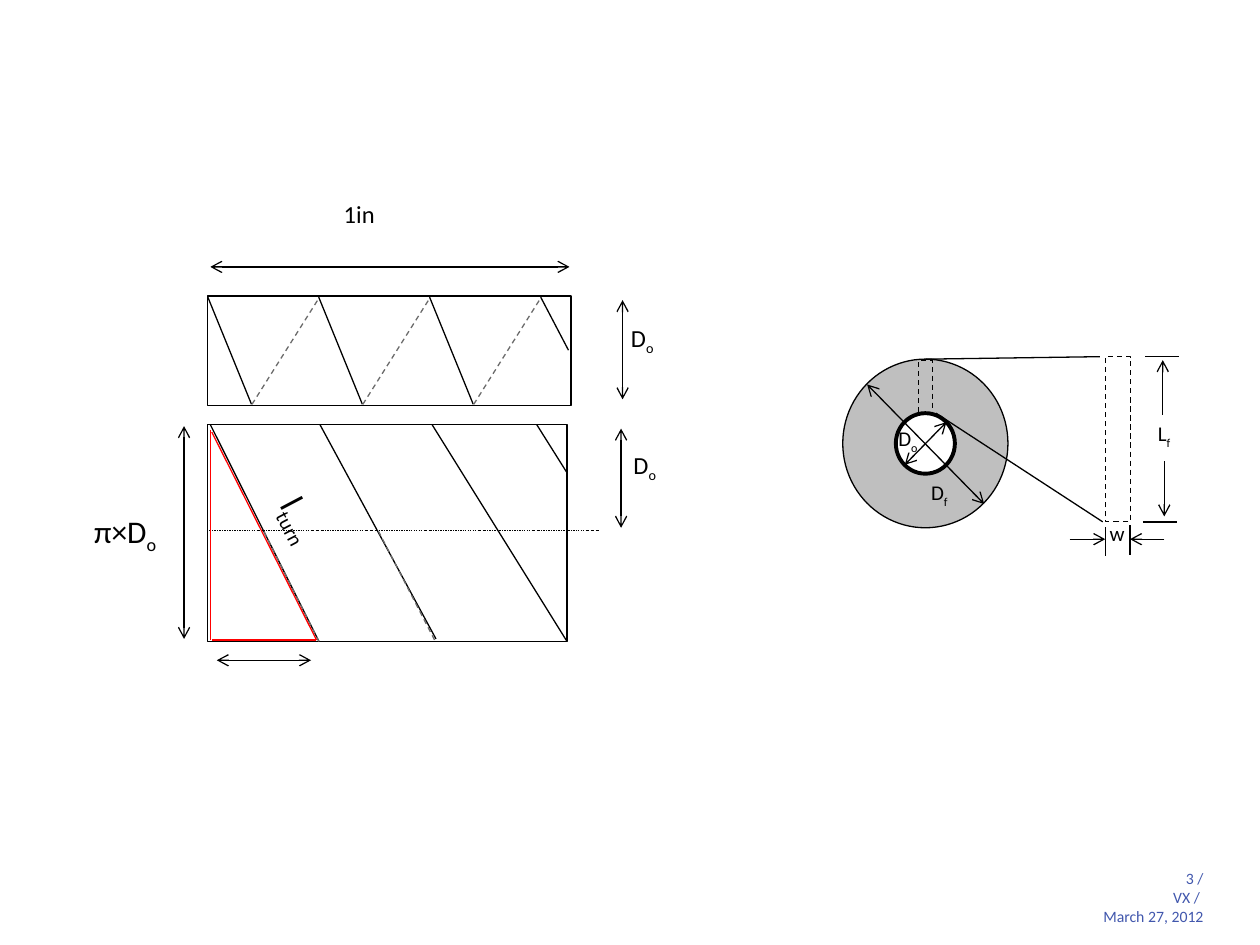
"""Build a slide of tube winding geometry beside a film roll."""
from lxml.etree import SubElement
from pptx import Presentation
from pptx.dml.color import RGBColor
from pptx.enum.dml import MSO_LINE
from pptx.enum.shapes import MSO_CONNECTOR, MSO_SHAPE
from pptx.enum.text import PP_ALIGN
from pptx.oxml.ns import qn
from pptx.util import Cm, Pt

BLACK = RGBColor(0, 0, 0)
WHITE = RGBColor(255, 255, 255)
RED = RGBColor(255, 0, 0)
GREY = RGBColor(0x6B, 0x6B, 0x6B)
SILVER = RGBColor(0xBF, 0xBF, 0xBF)
BLUE = RGBColor(0x41, 0x57, 0xAD)
RECT, OVAL = MSO_SHAPE.RECTANGLE, MSO_SHAPE.OVAL
DASH, DOT = MSO_LINE.DASH, MSO_LINE.DASH_DOT
FONT = "Calibri"

SHAPES = [
    (RECT, (4.19, 5.97, 7.32, 2.21), WHITE, 0.75, None),
    (RECT, (4.19, 8.56, 7.24, 4.37), WHITE, 0.75, None),
    (OVAL, (16.99, 7.24, 3.33, 3.4), SILVER, 0.75, None),
    (OVAL, (18.06, 8.33, 1.19, 1.22), WHITE, 2.25, None),
    (RECT, (18.52, 7.26, 0.28, 1.09), None, 0.75, DASH),
    (RECT, (22.28, 7.19, 0.51, 3.33), WHITE, 0.75, DASH),
]

TURNS, LEFT, PITCH = 3, 4.19, 2.235
FRONT = (0, 5.99, 0.88, 8.15)
BACK = (0.89, 8.15, 2.22, 6.04)

CUTS = [
    (10.9, 5.99, 11.46, 7.06),
    (4.24, 8.56, 6.43, 12.93),
    (6.45, 8.56, 8.79, 12.88),
    (8.71, 8.56, 11.43, 12.93),
    (10.82, 8.56, 11.43, 9.53),
]
HIDDEN = [(6.43, 12.93, 5.31, 10.69), (8.76, 12.9, 7.62, 10.69)]
AXIS = (4.22, 10.69, 12.07, 10.69)
TRIANGLE = [
    (4.27, 8.71, 6.38, 12.9),
    (4.24, 8.66, 4.24, 12.9),
    (6.38, 12.9, 4.27, 12.9),
]
FILM = [
    (18.67, 7.24, 22.17, 7.19),
    (18.87, 8.33, 22.23, 10.52),
    (22.28, 10.62, 22.28, 11.2),
    (22.78, 10.59, 22.78, 11.18),
    (23.09, 7.19, 23.77, 7.19),
    (23.04, 10.52, 23.72, 10.52),
]
SPANS = [
    (4.24, 5.38, 11.48, 5.38),
    (12.55, 6.05, 12.55, 8.05),
    (12.52, 8.64, 12.52, 10.64),
    (3.71, 8.59, 3.71, 12.88),
    (4.37, 13.31, 6.27, 13.31),
    (18.24, 9.37, 19.08, 8.51),
    (17.48, 7.75, 19.84, 10.16),
]
POINTERS = [
    (21.56, 10.87, 22.28, 10.87),
    (23.47, 10.87, 22.78, 10.87),
    (23.44, 8.36, 23.44, 7.26),
    (23.47, 9.3, 23.47, 10.41),
]

LABELS = [
    ("1in", "", 14, (6.68, 3.89, 2.31, 1.32), 0),
    ("D", "o", 14, (12.47, 6.38, 2.16, 0.86), 0),
    ("D", "o", 14, (12.52, 8.94, 2.08, 0.86), 0),
    ("π×D", "o", 18, (1.65, 10.19, 2.06, 1.02), 0),
    ("l", "turn", 20, (5.16, 10.26, 2.21, 1.12), 62.2),
    ("D", "o", 12, (17.86, 8.46, 1.24, 0.76), 0),
    ("D", "f", 12, (18.52, 9.55, 1.24, 0.76), 0),
    ("L", "f", 12, (23.09, 8.36, 1.24, 0.76), 0),
    ("w", "", 12, (22.12, 10.36, 1.24, 0.76), 0),
]
FOOTER = ["3 /", "VX / ", "March 27, 2012"]
FOOT_BOX = (13.08, 17.5, 11.18, 1.12)


def lengths(box):
    return [Cm(size) for size in box]


def add_outline(slide, kind, box, fill, width, dash):
    shape = slide.shapes.add_shape(kind, *lengths(box))
    shape.shadow.inherit = False
    if fill is None:
        shape.fill.background()
    else:
        shape.fill.solid()
        shape.fill.fore_color.rgb = fill
    shape.line.color.rgb = BLACK
    shape.line.width = Pt(width)
    shape.line.dash_style = dash


def add_line(slide, ends, color=BLACK, width=0.75, dash=None, tips=()):
    line = slide.shapes.add_connector(MSO_CONNECTOR.STRAIGHT, *lengths(ends))
    line.line.color.rgb = color
    line.line.width = Pt(width)
    line.line.dash_style = dash
    props = line.line._get_or_add_ln()
    for tip in tips:
        SubElement(props, qn(f"a:{tip}"), type="arrow")
    SubElement(line._element.spPr, qn("a:effectLst"))


def add_run(para, text, size, color):
    run = para.add_run()
    run.text = text
    run.font.name = FONT
    run.font.size = Pt(size)
    run.font.color.rgb = color
    return run


def add_label(slide, text, sub, size, box, angle):
    label = slide.shapes.add_textbox(*lengths(box))
    label.rotation = angle
    label.text_frame.word_wrap = True
    para = label.text_frame.paragraphs[0]
    add_run(para, text, size, BLACK)
    if sub:
        run = add_run(para, sub, size, BLACK)
        run.font._element.set("baseline", "-25000")


def add_footer(slide):
    frame = slide.shapes.add_textbox(*lengths(FOOT_BOX)).text_frame
    frame.word_wrap = True
    frame.margin_left = frame.margin_right = 0
    frame.margin_top = frame.margin_bottom = 0
    for row, text in enumerate(FOOTER):
        para = frame.add_paragraph() if row else frame.paragraphs[0]
        para.alignment = PP_ALIGN.RIGHT
        para.line_spacing = Pt(11)
        add_run(para, text, 9, BLUE)


def shift(ends, step):
    left, top, right, base = ends
    return left + step, top, right + step, base


def main():
    deck = Presentation()
    deck.slide_width, deck.slide_height = Cm(25.4), Cm(19.05)
    slide = deck.slides.add_slide(deck.slide_layouts[6])
    add_footer(slide)
    for shape in SHAPES:
        add_outline(slide, *shape)
    for turn in range(TURNS):
        step = LEFT + turn * PITCH
        add_line(slide, shift(FRONT, step))
        add_line(slide, shift(BACK, step), GREY, dash=DASH)
    for ends in CUTS + FILM:
        add_line(slide, ends)
    for ends in HIDDEN:
        add_line(slide, ends, GREY, dash=DASH)
    add_line(slide, AXIS, width=0.25, dash=DOT)
    for ends in TRIANGLE:
        add_line(slide, ends, RED)
    for ends in SPANS:
        add_line(slide, ends, tips=("headEnd", "tailEnd"))
    for ends in POINTERS:
        add_line(slide, ends, tips=("tailEnd",))
    for label in LABELS:
        add_label(slide, *label)
    deck.save("out.pptx")


if __name__ == "__main__":
    main()
